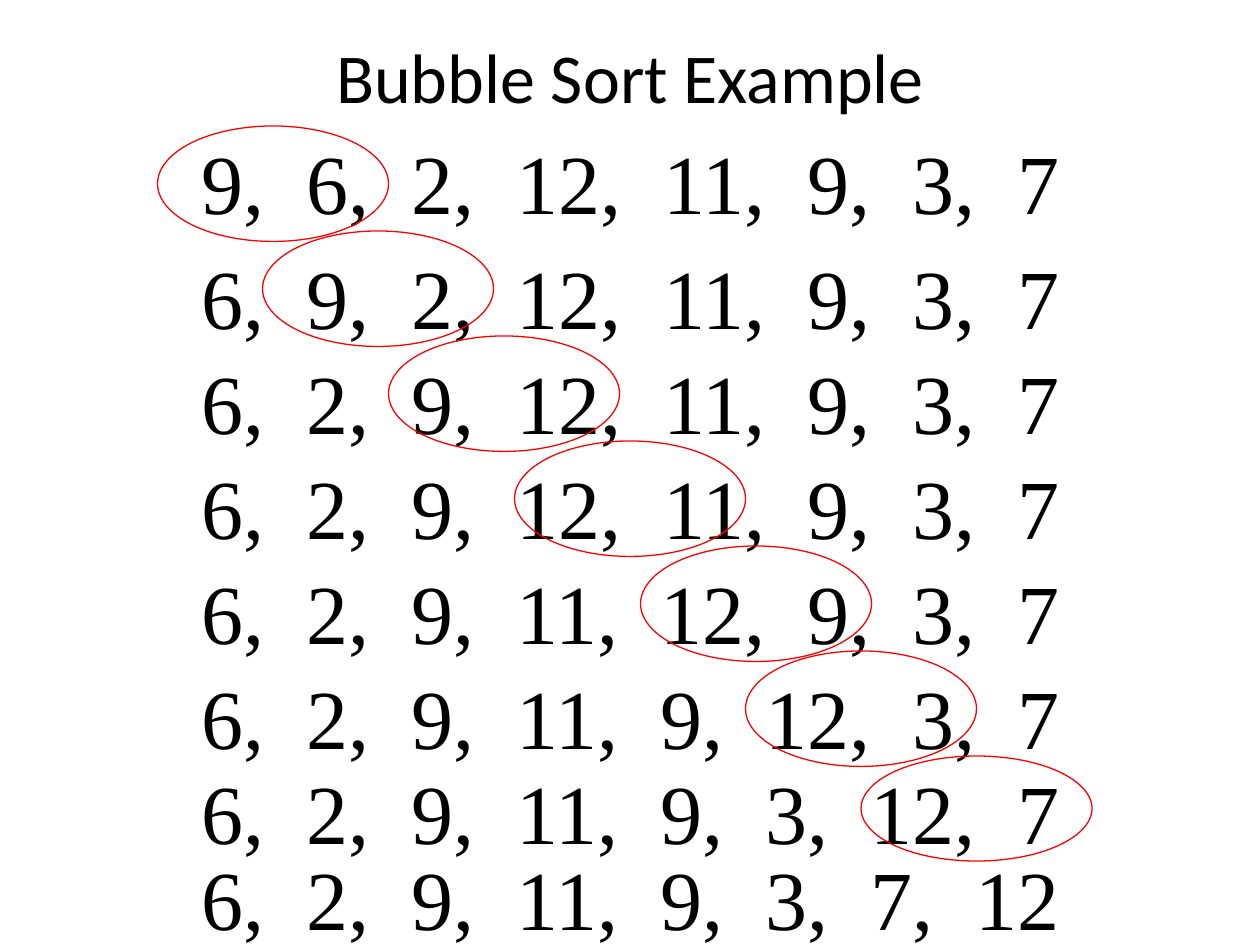
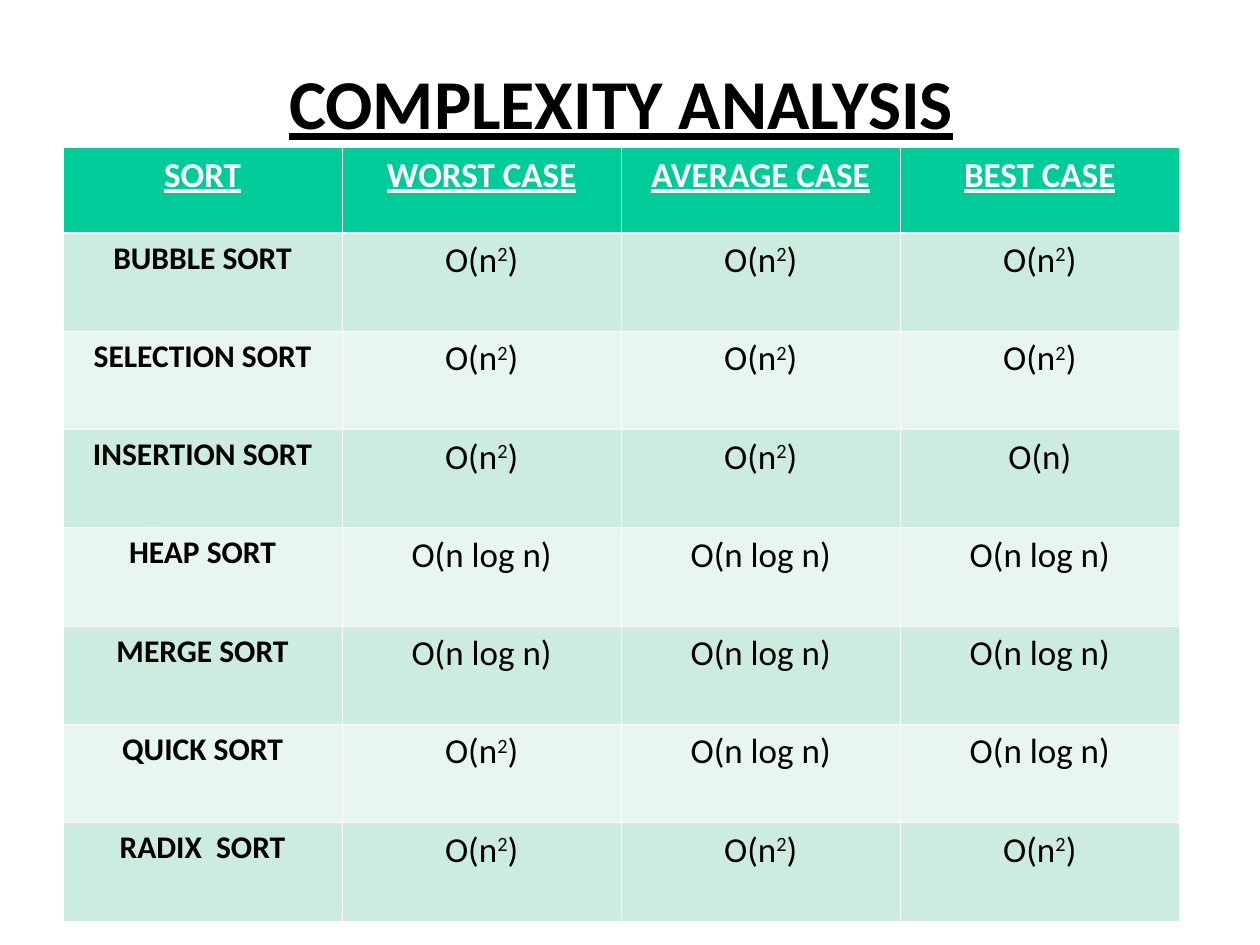
from pptx import Presentation
from pptx.dml.color import RGBColor
from pptx.enum.shapes import MSO_SHAPE
from pptx.enum.text import MSO_ANCHOR, MSO_AUTO_SIZE, PP_ALIGN
from pptx.oxml import parse_xml
from pptx.oxml.ns import nsdecls
from pptx.util import Pt

# Content: bubble sort pass
BUBBLE_TITLE = "Bubble Sort Example"
START_NUMBERS = [9, 6, 2, 12, 11, 9, 3, 7]
ROW_TOPS = [66, 132, 192, 252, 312, 372, 426, 475]
OVAL_LEFTS = [90, 150, 222, 294, 366, 426, 492]

# Content: complexity table
COMPLEXITY_TITLE = "COMPLEXITY ANALYSIS"
SQUARE, LINEAR, LOG = "O(n²)", "O(n)", "O(n log n)"
COMPLEXITY = [
    ("SORT", "WORST CASE", "AVERAGE CASE", "BEST CASE"),
    ("BUBBLE SORT", SQUARE, SQUARE, SQUARE),
    ("SELECTION SORT", SQUARE, SQUARE, SQUARE),
    ("INSERTION SORT", SQUARE, SQUARE, LINEAR),
    ("HEAP SORT", LOG, LOG, LOG),
    ("MERGE SORT", LOG, LOG, LOG),
    ("QUICK SORT", SQUARE, LOG, LOG),
    ("RADIX  SORT", SQUARE, SQUARE, SQUARE),
]

# Shared look
BLACK = RGBColor(0x00, 0x00, 0x00)
WHITE = RGBColor(0xFF, 0xFF, 0xFF)
RED = RGBColor(0xFF, 0x00, 0x00)
GREEN = RGBColor(0x00, 0xCC, 0x99)
BAND_DARK = RGBColor(0xCB, 0xEC, 0xDE)
BAND_LIGHT = RGBColor(0xE7, 0xF6, 0xEF)
SANS, SERIF = "Calibri", "Times New Roman"
TITLE_ONLY = 5


def set_font(font, name, size, color=BLACK, bold=False, underline=False):
    font.name, font.size = name, Pt(size)
    font.color.rgb = color
    font.bold, font.underline = bold, underline


def add_page(deck, title, area, emphasis=False):
    page = deck.slides.add_slide(deck.slide_layouts[TITLE_ONLY])
    box = page.shapes.title
    box.left, box.top, box.width, box.height = map(Pt, area)
    frame = box.text_frame
    frame.text = title
    frame.auto_size = MSO_AUTO_SIZE.NONE
    frame.vertical_anchor = MSO_ANCHOR.MIDDLE
    para = frame.paragraphs[0]
    para.alignment, para.line_spacing = PP_ALIGN.CENTER, 0.97
    set_font(para.runs[0].font, SANS, 40, bold=emphasis, underline=emphasis)
    return page


# Bubble sort slide
def add_numbers(page, numbers, top):
    box = page.shapes.add_textbox(Pt(108), Pt(top), Pt(528), Pt(64.8))
    frame = box.text_frame
    frame.word_wrap = True
    frame.margin_top, frame.margin_bottom = Pt(8.6), Pt(0)
    frame.text = ",  ".join(map(str, numbers))
    set_font(frame.paragraphs[0].runs[0].font, SERIF, 48)


def add_oval(page, step):
    height = 60 if step == len(OVAL_LEFTS) - 1 else 66
    oval = page.shapes.add_shape(MSO_SHAPE.OVAL, Pt(OVAL_LEFTS[step]),
                                 Pt(72 + 60 * step), Pt(132), Pt(height))
    oval.shadow.inherit = False
    oval.fill.background()
    oval.line.color.rgb = RED
    oval.line.width = Pt(0.75)


def build_bubble_sort(deck):
    page = add_page(deck, BUBBLE_TITLE, (54, 0, 612, 90))
    numbers = list(START_NUMBERS)
    for step, top in enumerate(ROW_TOPS):
        add_numbers(page, numbers, top)
        if step < len(OVAL_LEFTS):
            add_oval(page, step)
            # Each step puts the larger of the circled pair on the right
            numbers[step:step + 2] = sorted(numbers[step:step + 2])


# Complexity slide
def set_borders(cell, top, bottom):
    properties = cell._tc.get_or_add_tcPr()
    for side, width in (("L", 0.45), ("R", 0.45), ("T", top), ("B", bottom)):
        properties.append(parse_xml(
            f'<a:ln{side} {nsdecls("a")} w="{Pt(width)}"><a:solidFill>'
            f'<a:srgbClr val="{WHITE}"/></a:solidFill></a:ln{side}>'))


def write_cell(cell, text, **style):
    para = cell.text_frame.paragraphs[0]
    para.alignment = PP_ALIGN.CENTER
    before, power, after = text.partition("²")
    for part in filter(None, (before, power, after)):
        span = para.add_run()
        span.text = "2" if part == "²" else part
        set_font(span.font, SANS, **style)
        if part == "²":
            span.font._element.set("baseline", "30000")


def cell_style(row, column):
    if row == 0:
        return dict(size=20, color=WHITE, bold=True, underline=True)
    if column == 0:
        return dict(size=18, bold=True)
    return dict(size=20)


def build_complexity(deck):
    page = add_page(deck, COMPLEXITY_TITLE, (36, 36, 638, 48), emphasis=True)
    head_height, row_height = 48.6, 56.2
    rows, columns = len(COMPLEXITY), len(COMPLEXITY[0])
    table = page.shapes.add_table(
        rows, columns, Pt(36), Pt(84.4), Pt(638),
        Pt(head_height + row_height * (rows - 1))).table
    for row, entries in enumerate(COMPLEXITY):
        table.rows[row].height = Pt(row_height if row else head_height)
        fill = (BAND_DARK if row % 2 else BAND_LIGHT) if row else GREEN
        for column, text in enumerate(entries):
            cell = table.cell(row, column)
            set_borders(cell, top=1.47 if row == 1 else 0.45,
                        bottom=1.47 if row == 0 else 0.45)
            cell.fill.solid()
            cell.fill.fore_color.rgb = fill
            write_cell(cell, text, **cell_style(row, column))


def main():
    deck = Presentation()
    deck.slide_width, deck.slide_height = Pt(720), Pt(540)
    build_bubble_sort(deck)
    build_complexity(deck)
    deck.save("out.pptx")


if __name__ == "__main__":
    main()
